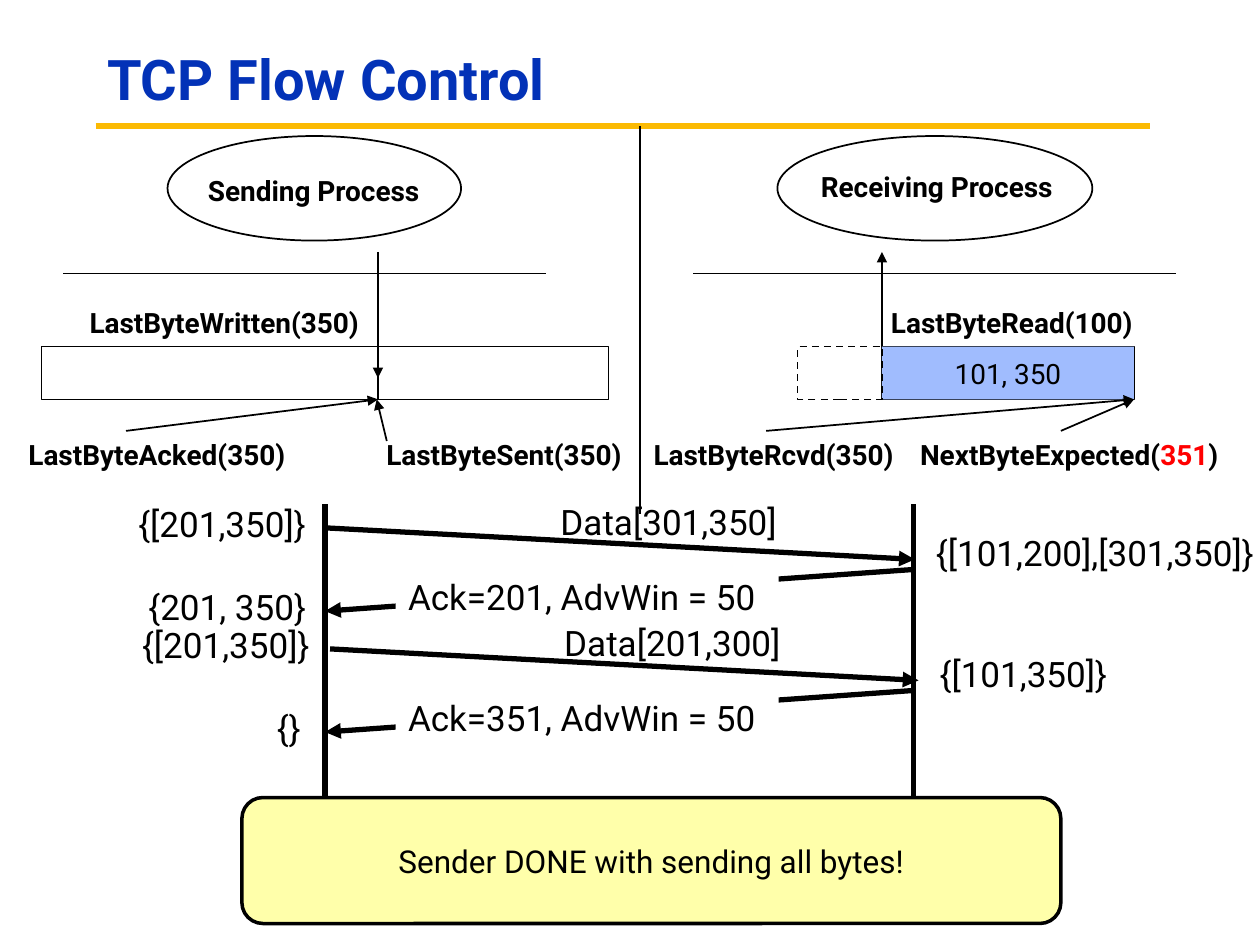
from dataclasses import dataclass

from lxml import etree
from pptx import Presentation
from pptx.dml.color import RGBColor
from pptx.enum.dml import MSO_LINE
from pptx.enum.shapes import MSO_CONNECTOR, MSO_SHAPE
from pptx.enum.text import MSO_ANCHOR, MSO_AUTO_SIZE, PP_ALIGN
from pptx.oxml.ns import qn
from pptx.util import Inches, Pt

LEFT, CENTER = PP_ALIGN.LEFT, PP_ALIGN.CENTER
TOP, MIDDLE = MSO_ANCHOR.TOP, MSO_ANCHOR.MIDDLE
NONE = MSO_AUTO_SIZE.NONE
STRAIGHT = MSO_CONNECTOR.STRAIGHT
RECT, OVAL, ROUND = MSO_SHAPE.RECTANGLE, MSO_SHAPE.OVAL, MSO_SHAPE.ROUNDED_RECTANGLE
DASH = MSO_LINE.DASH


@dataclass(frozen=True)
class Theme:
    font: str = "Roboto"
    ink: str = "000000"
    blue: str = "0332B7"
    gold: str = "FBBA03"
    red: str = "FF0000"
    sky: str = "A0BCFE"
    cream: str = "FFFFAA"
    white: str = "FFFFFF"
    title: int = 32
    flow: int = 20
    note: int = 18
    label: int = 16
    thin: float = 1
    edge: float = 2
    thick: float = 3
    rule: float = 3.75


T = Theme()


def rgb(code):
    return RGBColor.from_string(code)


def write(shape, text, size=T.label, bold=False, color=T.ink, align=CENTER,
          anchor=TOP, wrap=True, space=None):
    """Fill a shape with one paragraph: a string or (string, colour) runs."""
    frame = shape.text_frame
    frame.auto_size = NONE
    frame.word_wrap = wrap
    frame.vertical_anchor = anchor
    para = frame.paragraphs[0]
    para.alignment = align
    if space:
        para.line_spacing = space
    for part, tint in [(text, color)] if isinstance(text, str) else text:
        run = para.add_run()
        run.text = part
        font = run.font
        font.name, font.size, font.bold = T.font, Pt(size), bold
        font.color.rgb = rgb(tint)


def label(slide, text, x, y, w, h=0.37, **form):
    box = slide.shapes.add_textbox(Inches(x), Inches(y), Inches(w), Inches(h))
    write(box, text, wrap=False, **form)


def name(slide, text, x, y, w):
    label(slide, text, x, y, w, bold=True)


def flow(slide, text, x, y, w):
    label(slide, text, x, y, w, 0.44, size=T.flow, align=LEFT)


def block(slide, kind, x, y, w, h, fill=None, width=T.thin, dash=None):
    shape = slide.shapes.add_shape(kind, Inches(x), Inches(y), Inches(w), Inches(h))
    shape.shadow.inherit = False
    if fill:
        shape.fill.solid()
        shape.fill.fore_color.rgb = rgb(fill)
    else:
        shape.fill.background()
    if width:
        shape.line.color.rgb = rgb(T.ink)
        shape.line.width = Pt(width)
    else:
        shape.line.fill.background()
    if dash:
        shape.line.dash_style = dash
    return shape


def tip(shape, end="tailEnd"):
    etree.SubElement(shape.line._get_or_add_ln(), qn("a:" + end), type="triangle")


def line(slide, x1, y1, x2, y2, width=T.thin, color=T.ink, arrow=False):
    link = slide.shapes.add_connector(
        STRAIGHT, Inches(x1), Inches(y1), Inches(x2), Inches(y2))
    link.line.color.rgb = rgb(color)
    link.line.width = Pt(width)
    if arrow:
        tip(link)
    etree.SubElement(link._element.spPr, qn("a:effectLst"))


def curve(slide, start, points, end):
    """Draw a cubic path; every three points make one segment."""
    pen = slide.shapes.build_freeform(*start, scale=Inches(1))
    pen.add_line_segments(points, close=False)
    shape = pen.convert_to_shape()
    legs = list(shape._element.iter(qn("a:lnTo")))
    for i in range(0, len(legs), 3):
        bend = etree.Element(qn("a:cubicBezTo"))
        legs[i].addprevious(bend)
        for leg in legs[i:i + 3]:
            bend.append(leg[0])
            leg.getparent().remove(leg)
    shape.shadow.inherit = False
    shape.fill.background()
    shape.line.color.rgb = rgb(T.ink)
    shape.line.width = Pt(T.thin)
    tip(shape, end)


def head(slide):
    line(slide, 0.76, 1, 9.13, 1, T.rule, T.gold)
    title = slide.shapes.title
    title.left, title.top = Inches(0.75), Inches(0.25)
    title.width, title.height = Inches(8.42), Inches(0.81)
    write(title, "TCP Flow Control", size=T.title, bold=True, color=T.blue,
          align=LEFT, anchor=MIDDLE, space=0.9)
    line(slide, 5.08, 1, 5.08, 4.08)


def sender(slide):
    block(slide, OVAL, 1.33, 1.08, 2.33, 0.83)
    name(slide, "Sending Process", 1.48, 1.33, 2.02)
    line(slide, 0.5, 2.17, 4.33, 2.17)
    curve(slide, (2.55, 1.92),
          [(2.65, 1.99), (2.75, 2.06), (2.82, 2.14),
           (2.89, 2.23), (2.93, 2.35), (2.96, 2.45),
           (2.99, 2.55), (2.99, 2.65), (3, 2.75)], "tailEnd")
    # Send buffer and its pointers
    block(slide, RECT, 0.33, 2.75, 4.5, 0.42)
    line(slide, 3, 2.67, 3, 3.17)
    name(slide, "LastByteWritten(350)", 0.56, 2.38, 2.44)
    name(slide, "LastByteAcked(350)", 0.07, 3.42, 2.35)
    name(slide, "LastByteSent(350)", 2.92, 3.42, 2.16)
    line(slide, 1, 3.42, 3, 3.17, arrow=True)
    line(slide, 3.07, 3.5, 2.99, 3.17, arrow=True)


def taker(slide):
    block(slide, OVAL, 6.17, 1.08, 2.5, 0.83)
    name(slide, "Receiving Process", 6.34, 1.3, 2.19)
    line(slide, 5.5, 2.17, 9.33, 2.17)
    curve(slide, (6.75, 1.83),
          [(6.81, 1.91), (6.86, 1.99), (6.9, 2.08),
           (6.94, 2.18), (6.96, 2.31), (6.97, 2.42),
           (6.99, 2.53), (7, 2.64), (7, 2.75)], "headEnd")
    # Receive buffer and its pointers
    block(slide, RECT, 7, 2.75, 2, 0.42)
    data = block(slide, RECT, 7, 2.75, 2, 0.42, T.sky, width=0)
    write(data, "101, 350", anchor=MIDDLE)
    block(slide, RECT, 6.33, 2.75, 0.67, 0.42, dash=DASH)
    name(slide, "LastByteRead(100)", 6.92, 2.38, 2.22)
    name(slide, "LastByteRcvd(350)", 5.03, 3.42, 2.22)
    name(slide, [("NextByteExpected(", T.ink), ("351", T.red), (")", T.ink)],
         7.14, 3.42, 2.69)
    for x in (6.08, 8.42):
        line(slide, x, 3.42, 9, 3.17, arrow=True)


def send(slide, x, y, data, left, right, span):
    line(slide, x, y, x + 4.67, y + 0.25, T.thick, arrow=True)
    flow(slide, data, x + 1.76, y - 0.27, 1.96)
    flow(slide, left, x - 1.59, y - 0.25, 1.56)
    flow(slide, right, x + 4.74, y - 0.02, span)


def reply(slide, y, ack, left, x, span):
    line(slide, 7.25, y, 2.58, y + 0.33, T.thick, arrow=True)
    box = block(slide, RECT, 3.14, y, 3.04, 0.44, T.white, width=0)
    write(box, ack, size=T.flow, align=LEFT, wrap=False)
    flow(slide, left, x, y + 0.08, span)


def trade(slide):
    for x in (2.58, 7.25):
        line(slide, x, 4, x, 7, T.thick)
    step = 0.96
    send(slide, 2.59, 4.19, "Data[301,350]", "{[201,350]}",
         "{[101,200],[301,350]}", 2.81)
    reply(slide, 4.52, "Ack=201, AdvWin = 50", "{201, 350}", 1.08, 1.49)
    send(slide, 2.62, 4.19 + step, "Data[201,300]", "{[201,350]}",
         "{[101,350]}", 1.56)
    reply(slide, 4.52 + step, "Ack=351, AdvWin = 50", "{}", 2.1, 0.4)
    # Closing remark
    note = block(slide, ROUND, 1.92, 6.33, 6.5, 1, T.cream, T.edge)
    write(note, "Sender DONE with sending all bytes!", size=T.note, anchor=MIDDLE)


def main():
    deck = Presentation()
    deck.slide_width, deck.slide_height = Inches(10), Inches(7.5)
    slide = deck.slides.add_slide(deck.slide_layouts[5])
    head(slide)
    sender(slide)
    taker(slide)
    trade(slide)
    deck.save("out.pptx")


if __name__ == "__main__":
    main()
